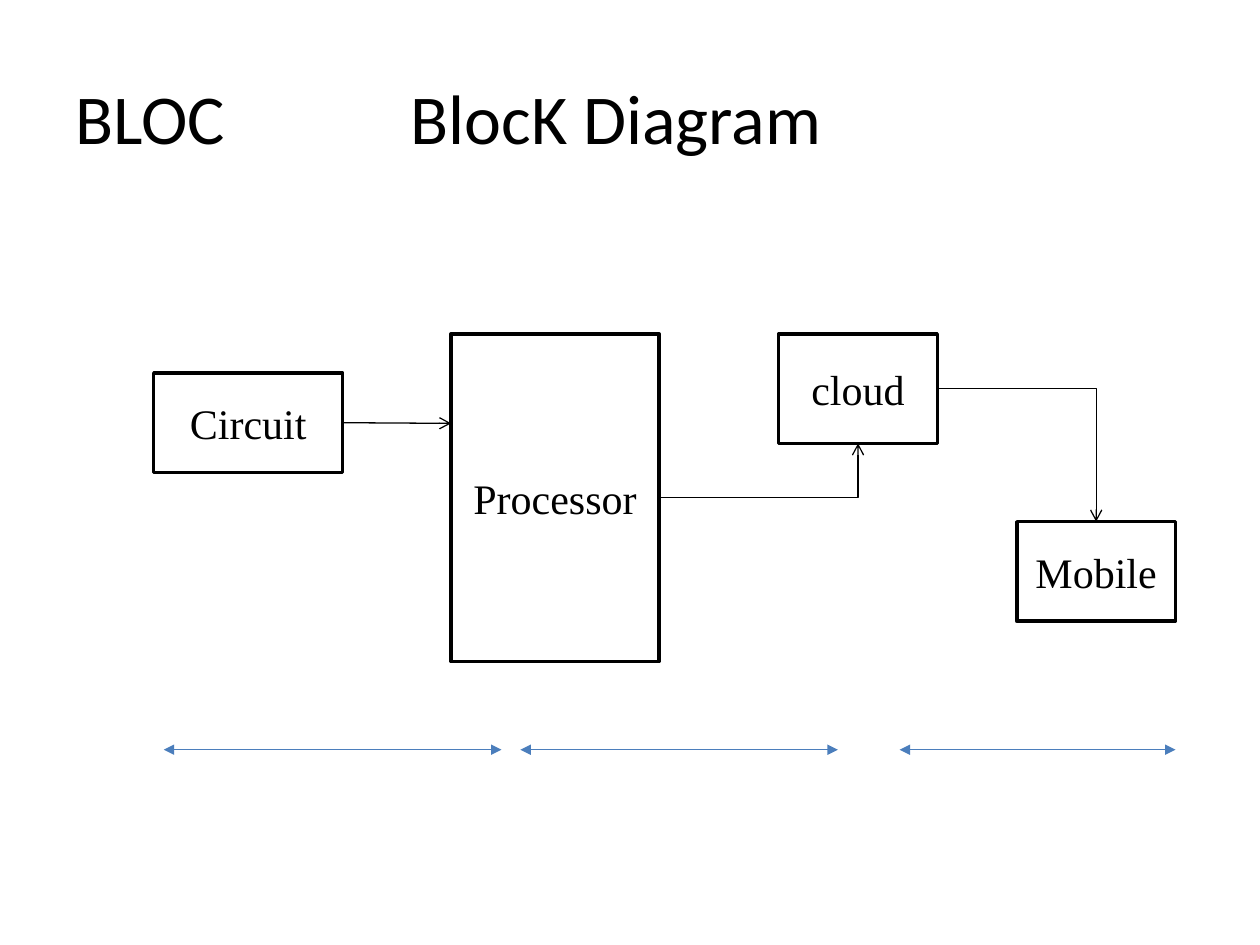
from lxml import etree
from pptx import Presentation
from pptx.dml.color import RGBColor
from pptx.enum.shapes import MSO_CONNECTOR, MSO_SHAPE
from pptx.enum.text import MSO_ANCHOR, PP_ALIGN
from pptx.oxml.ns import qn
from pptx.util import Inches, Pt

RECT = MSO_SHAPE.RECTANGLE
LINE, BENT = MSO_CONNECTOR.STRAIGHT, MSO_CONNECTOR.ELBOW
LEFT, CENTER = PP_ALIGN.LEFT, PP_ALIGN.CENTER
MIDDLE = MSO_ANCHOR.MIDDLE
TOP, RIGHT, BOTTOM = 0, 3, 2
COLORS = {"ink": "000000", "paper": "FFFFFF", "span": "4B7EBC"}
BOXES = {
    "Circuit": (1.22, 2.96, 1.5, 0.79),
    "Processor": (3.58, 2.65, 1.65, 2.6),
    "cloud": (6.18, 2.65, 1.26, 0.87),
    "Mobile": (8.07, 4.14, 1.26, 0.79),
}
SPANS = [(1.3, 3.98), (4.13, 6.65), (7.14, 9.33)]
SPAN_Y = 5.95


def color(name):
    return RGBColor.from_string(COLORS[name])


def style(par, font, size, align):
    par.alignment = align
    for run in par.runs:
        run.font.name = font
        run.font.size = Pt(size)
        run.font.color.rgb = color("ink")


def set_title(slide, text, stop):
    title = slide.shapes.title
    title.left, title.top = Inches(0.5), Inches(0.3)
    title.width, title.height = Inches(9), Inches(1.25)
    title.text_frame.text = text
    title.text_frame.vertical_anchor = MIDDLE
    par = title.text_frame.paragraphs[0]
    style(par, "Calibri", 40, LEFT)
    tabs = etree.SubElement(par._p.get_or_add_pPr(), qn("a:tabLst"))
    etree.SubElement(tabs, qn("a:tab"), pos=str(Inches(stop)), algn="l")


def add_box(slide, text, place):
    box = slide.shapes.add_shape(RECT, *map(Inches, place))
    box.shadow.inherit = False
    box.fill.solid()
    box.fill.fore_color.rgb = color("paper")
    box.line.color.rgb = color("ink")
    box.line.width = Pt(2)
    box.text_frame.text = text
    box.text_frame.vertical_anchor = MIDDLE
    style(box.text_frame.paragraphs[0], "Times New Roman", 24, CENTER)
    return box


def add_line(slide, kind, start, end, shade, **tips):
    line = slide.shapes.add_connector(kind, *map(Inches, start + end))
    line.line.color.rgb = color(shade)
    line.line.width = Pt(0.75)
    stroke = line.line._get_or_add_ln()
    for tip, form in tips.items():
        etree.SubElement(stroke, qn(f"a:{tip}"), type=form)
    etree.SubElement(line._element.spPr, qn("a:effectLst"))
    return line


def add_bend(slide, first, side, last, edge):
    line = add_line(slide, BENT, (0, 0), (1, 1), "ink", tailEnd="arrow")
    line.begin_connect(first, side)
    line.end_connect(last, edge)
    line._element.spPr.find(qn("a:prstGeom")).set("prst", "bentConnector2")


def main():
    """Build the block diagram slide and save it."""
    deck = Presentation()
    deck.slide_width, deck.slide_height = Inches(10), Inches(7.5)
    slide = deck.slides.add_slide(deck.slide_layouts[5])
    set_title(slide, "BLOC\tBlocK Diagram", 2.66)
    boxes = {text: add_box(slide, text, place) for text, place in BOXES.items()}
    feed = add_line(slide, LINE, (2.72, 3.36), (3.58, 3.36), "ink", tailEnd="arrow")
    feed.begin_connect(boxes["Circuit"], RIGHT)
    add_bend(slide, boxes["Processor"], RIGHT, boxes["cloud"], BOTTOM)
    add_bend(slide, boxes["cloud"], RIGHT, boxes["Mobile"], TOP)
    for left, right in SPANS:
        add_line(slide, LINE, (left, SPAN_Y), (right, SPAN_Y), "span",
                 headEnd="triangle", tailEnd="triangle")
    deck.save("out.pptx")


if __name__ == "__main__":
    main()
